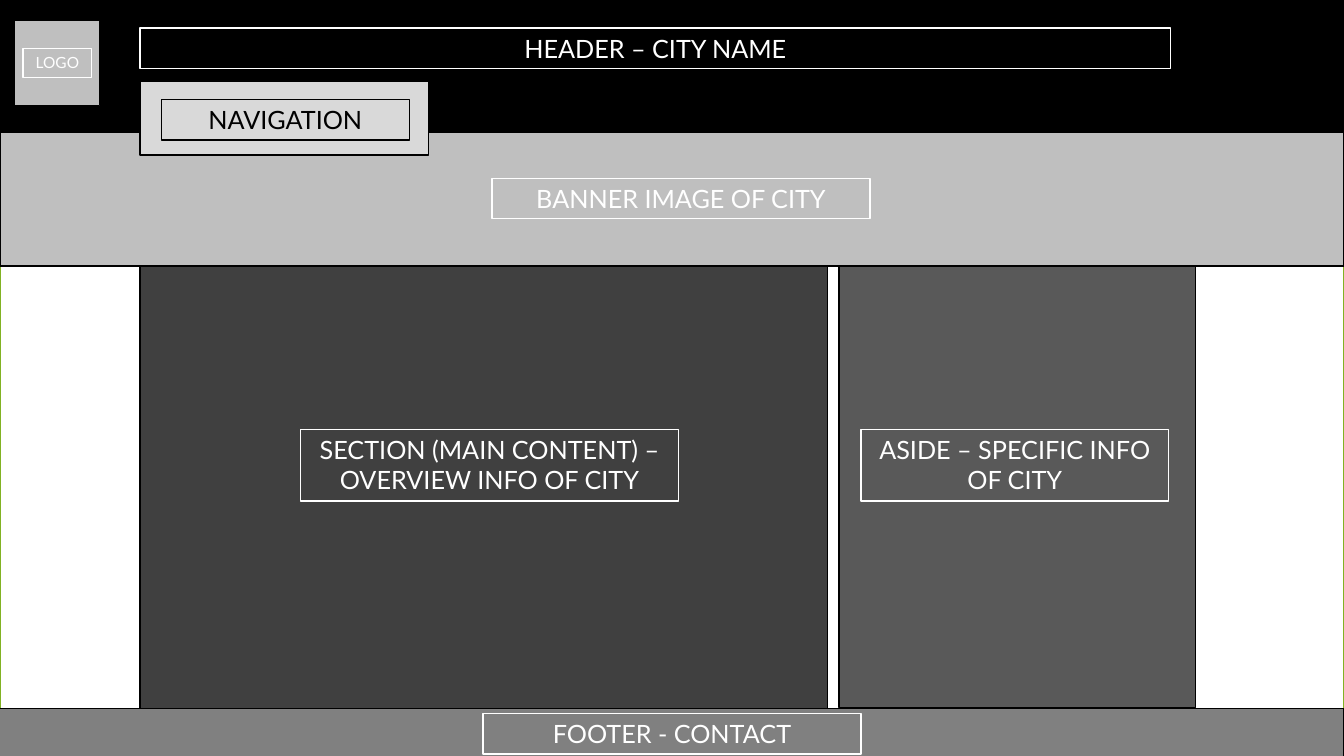
import pptx
import pptx.util
import pptx.dml.color
import pptx.enum.shapes
import pptx.enum.text

COLOURS = {
    "black": "000000",
    "white": "FFFFFF",
    "green": "81B223",
    "charcoal": "404040",
    "slate": "595959",
    "grey": "808080",
    "silver": "BFBFBF",
    "pale": "D9D9D9",
}


def colour(name):
    return pptx.dml.color.RGBColor.from_string(COLOURS[name])


def add_box(bounds, fill, line):
    box = slide.shapes.add_shape(
        pptx.enum.shapes.MSO_SHAPE.RECTANGLE,
        *[pptx.util.Inches(length) for length in bounds],
    )
    box.shadow.inherit = False
    if fill:
        box.fill.solid()
        box.fill.fore_color.rgb = colour(fill)
    else:
        box.fill.background()
    box.line.color.rgb = colour(line)
    box.line.width = pptx.util.Pt(1)
    return box


deck = pptx.Presentation()
deck.slide_width = pptx.util.Inches(13.33)
deck.slide_height = pptx.util.Inches(7.5)
slide = deck.slides.add_slide(deck.slide_layouts[6])
slide.background.fill.solid()
slide.background.fill.fore_color.rgb = colour("black")

panels = [
    ((0, 0, 13.33, 7.5), "white", "green"),
    ((0, 0, 13.33, 1.33), "black", "black"),
    ((1.39, 2.64, 6.82, 4.39), "charcoal", "black"),
    ((-0.06, 7.03, 13.39, 0.51), "grey", "black"),
    ((8.32, 2.63, 3.54, 4.39), "slate", "black"),
    ((0, 1.31, 13.33, 1.33), "silver", "black"),
    ((0.14, 0.2, 0.85, 0.85), "silver", "black"),
    ((1.39, 0.81, 2.86, 0.73), "pale", "black"),
]
for bounds, fill, line in panels:
    add_box(bounds, fill, line)

labels = [
    ("HEADER – CITY NAME", (1.39, 0.28, 10.22, 0.4), 18, "white"),
    ("SECTION (MAIN CONTENT) – OVERVIEW INFO OF CITY", (2.98, 4.26, 3.75, 0.71), 18, "white"),
    ("FOOTER - CONTACT", (4.79, 7.08, 3.75, 0.4), 18, "white"),
    ("ASIDE – SPECIFIC INFO OF CITY", (8.54, 4.26, 3.05, 0.71), 18, "white"),
    ("BANNER IMAGE OF CITY", (4.88, 1.77, 3.75, 0.4), 18, "white"),
    ("LOGO", (0.23, 0.48, 0.68, 0.29), 11, "white"),
    ("NAVIGATION", (1.6, 0.99, 2.46, 0.4), 18, "black"),
]
for text, bounds, size, ink in labels:
    frame = add_box(bounds, None, ink).text_frame
    frame.word_wrap = True
    frame.auto_size = pptx.enum.text.MSO_AUTO_SIZE.SHAPE_TO_FIT_TEXT
    frame.vertical_anchor = pptx.enum.text.MSO_ANCHOR.TOP
    para = frame.paragraphs[0]
    para.alignment = pptx.enum.text.PP_ALIGN.CENTER
    span = para.add_run()
    span.text = text
    span.font.name = "Lato"
    span.font.size = pptx.util.Pt(size)
    span.font.color.rgb = colour(ink)

deck.save("out.pptx")
